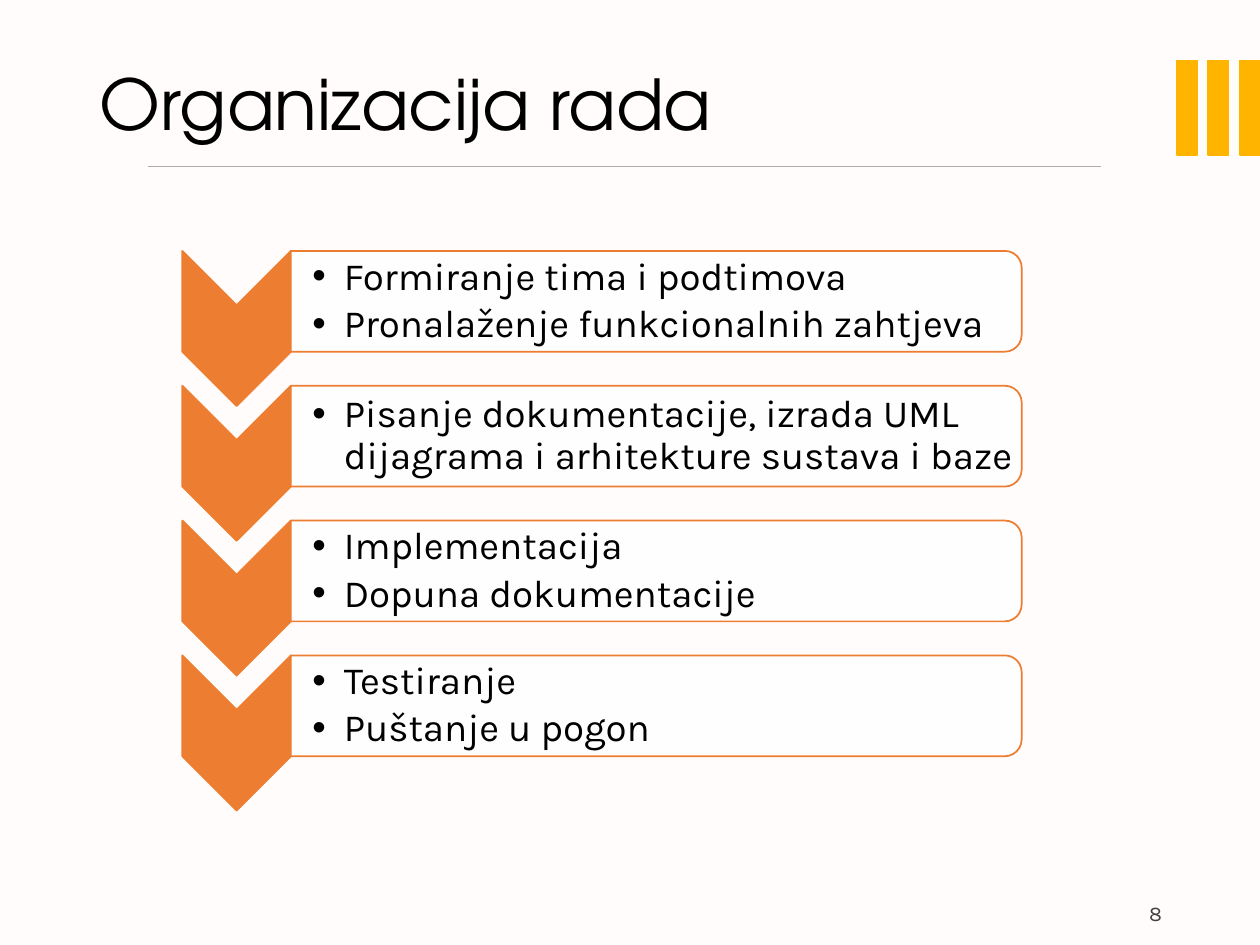
from lxml.etree import SubElement
from pptx import Presentation
from pptx.dml.color import RGBColor
from pptx.enum.shapes import MSO_CONNECTOR, MSO_SHAPE
from pptx.enum.text import MSO_ANCHOR, MSO_AUTO_SIZE, PP_ALIGN
from pptx.oxml.ns import qn
from pptx.util import Pt

COLOURS = {
    "background": "FFFCFB",
    "bar": "FFB400",
    "rule": "AFABAB",
    "step": "ED7D31",
    "panel": "FFFFFF",
    "text": "000000",
    "number": "404040",
}

STEPS = [
    ["Formiranje tima i podtimova", "Pronalaženje funkcionalnih zahtjeva"],
    ["Pisanje dokumentacije, izrada UML dijagrama i arhitekture sustava i baze"],
    ["Implementacija", "Dopuna dokumentacije"],
    ["Testiranje", "Puštanje u pogon"],
]

FIRST_TOP = 143.4
STEP_PITCH = 77.05
CHEVRON_LEFT, CHEVRON_WIDTH, CHEVRON_HEIGHT = 104.2, 62, 88.6
PANEL_LEFT, PANEL_WIDTH, PANEL_HEIGHT = 166.2, 417.6, 57.6

TITLE_FONT = {"name": "TeX Gyre Adventor", "size": Pt(40), "bold": False}
LIST_FONT = {"name": "Karla", "size": Pt(22), "bold": False}
NUMBER_FONT = {"name": "Karla", "size": Pt(12)}
TITLE_PARAGRAPH = {"alignment": PP_ALIGN.LEFT, "line_spacing": 0.9}
LIST_PARAGRAPH = {
    "alignment": PP_ALIGN.LEFT,
    "line_spacing": 0.9,
    "space_before": Pt(0),
    "space_after": Pt(3.3),
}
NUMBER_PARAGRAPH = {"alignment": PP_ALIGN.RIGHT}
TITLE_FRAME = {
    "word_wrap": True,
    "auto_size": MSO_AUTO_SIZE.NONE,
    "vertical_anchor": MSO_ANCHOR.MIDDLE,
}
LIST_FRAME = {
    **TITLE_FRAME,
    "margin_left": Pt(12.3),
    "margin_top": Pt(1.1),
    "margin_right": Pt(1.1),
    "margin_bottom": Pt(1.1),
}
NUMBER_FRAME = {"word_wrap": True}


def set_values(target, values):
    for name, value in values.items():
        setattr(target, name, value)


def colour(name):
    return RGBColor.from_string(COLOURS[name])


def place(shape, left, top, width, height):
    set_values(shape, {"left": Pt(left), "top": Pt(top),
                       "width": Pt(width), "height": Pt(height)})


def write(shape, lines, frame_values, paragraph_values, font_values, font_colour):
    text_frame = shape.text_frame
    set_values(text_frame, frame_values)
    text_frame.text = "\n".join(lines)
    for paragraph in text_frame.paragraphs:
        set_values(paragraph, paragraph_values)
        for run in paragraph.runs:
            set_values(run.font, font_values)
            run.font.color.rgb = colour(font_colour)


def add_bullets(shape):
    for properties in shape.element.iter(qn("a:pPr")):
        properties.set("marL", str(Pt(18)))
        properties.set("indent", str(Pt(-18)))
        SubElement(properties, qn("a:buFont")).set("typeface", "Arial")
        SubElement(properties, qn("a:buChar")).set("char", "•")


def add_preset(shapes, preset, box, fill, line):
    shape = shapes.add_shape(preset, *map(Pt, box))
    shape.shadow.inherit = False
    shape.fill.solid()
    shape.fill.fore_color.rgb = colour(fill)
    shape.line.color.rgb = colour(line)
    shape.line.width = Pt(1)
    return shape


def add_turned(shapes, preset, box, fill, line):
    left, top, width, height = box
    shift = (width - height) / 2
    turned_box = (left + shift, top - shift, height, width)
    shape = add_preset(shapes, preset, turned_box, fill, line)
    shape.rotation = 90
    return shape


def set_opacity(shape, percent):
    for element in shape.element.spPr.find(qn("a:solidFill")):
        SubElement(element, qn("a:alpha")).set("val", str(percent * 1000))


def add_bars(slide):
    group = slide.shapes.add_group_shape()
    for index in range(3):
        box = (672.5 + 18 * index, 34.5, 11.5, 54)
        add_preset(group.shapes, MSO_SHAPE.RECTANGLE, box, "bar", "bar")


def add_rule(slide):
    rule = slide.shapes.add_connector(
        MSO_CONNECTOR.STRAIGHT, Pt(84.5), Pt(95.2), Pt(629.3), Pt(95.2))
    rule.line.color.rgb = colour("rule")
    rule.line.width = Pt(1)
    SubElement(rule.element.spPr, qn("a:effectLst"))


def format_title(title):
    place(title, 49.7, 28.8, 620.6, 66.2)
    write(title, ["Organizacija rada"], TITLE_FRAME, TITLE_PARAGRAPH,
          TITLE_FONT, "text")


def add_number(slide):
    box = slide.shapes.add_textbox(Pt(629.3), Pt(511.2), Pt(41.8), Pt(28.8))
    write(box, ["8"], NUMBER_FRAME, NUMBER_PARAGRAPH, NUMBER_FONT, "number")


def add_step(slide, body, lines, top):
    add_turned(slide.shapes, MSO_SHAPE.CHEVRON,
               (CHEVRON_LEFT, top, CHEVRON_WIDTH, CHEVRON_HEIGHT), "step", "step")
    panel = add_turned(slide.shapes, MSO_SHAPE.ROUND_2_SAME_RECTANGLE,
                       (PANEL_LEFT, top, PANEL_WIDTH, PANEL_HEIGHT), "panel", "step")
    set_opacity(panel, 90)
    place(body, PANEL_LEFT, top + 2.8, PANEL_WIDTH - 2.8, PANEL_HEIGHT - 5.6)
    write(body, lines, LIST_FRAME, LIST_PARAGRAPH, LIST_FONT, "text")
    add_bullets(body)
    panel.element.addnext(body.element)


def main():
    presentation = Presentation()
    set_values(presentation, {"slide_width": Pt(720), "slide_height": Pt(540)})
    comparison_layout = presentation.slide_layouts.get_by_name("Comparison")
    slide = presentation.slides.add_slide(comparison_layout)
    slide.background.fill.solid()
    slide.background.fill.fore_color.rgb = colour("background")

    title, *bodies = list(slide.placeholders)
    add_bars(slide)
    add_rule(slide)
    format_title(title)
    add_number(slide)
    for index, (body, lines) in enumerate(zip(bodies, STEPS)):
        add_step(slide, body, lines, FIRST_TOP + index * STEP_PITCH)

    presentation.save("out.pptx")


if __name__ == "__main__":
    main()
